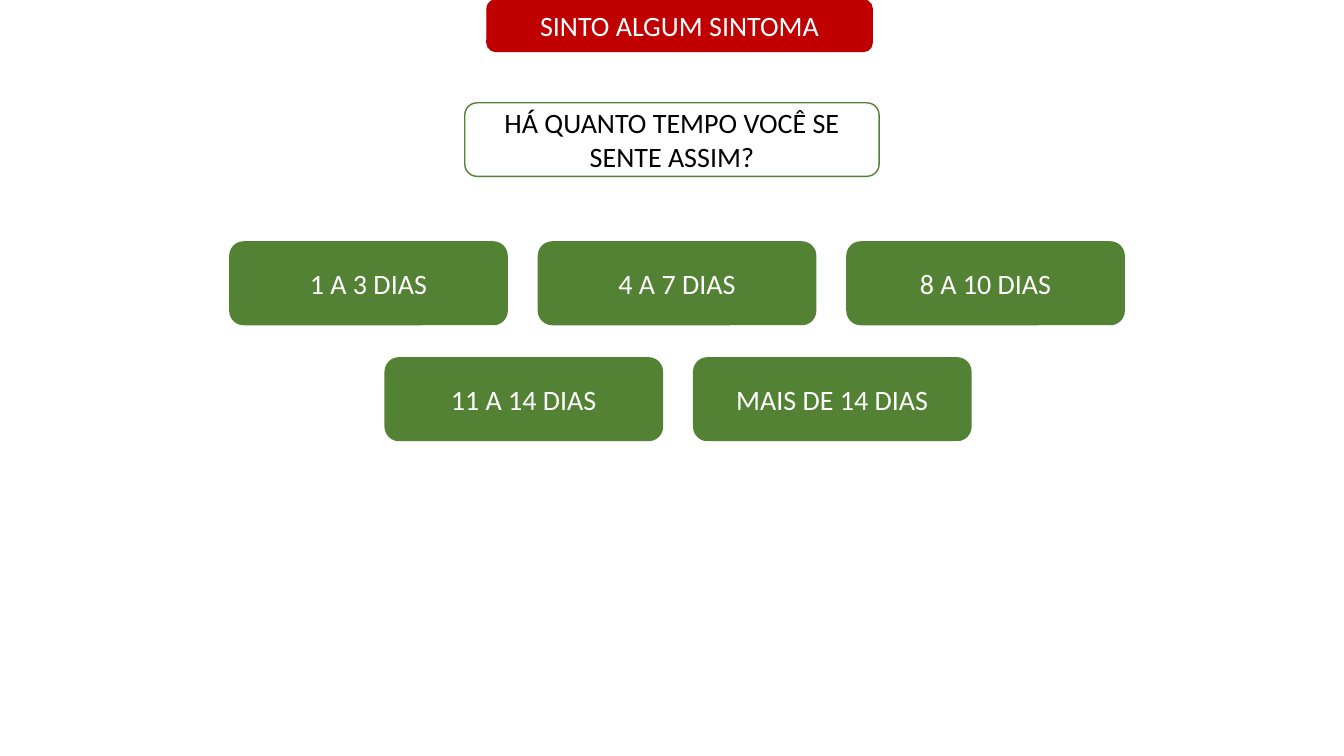
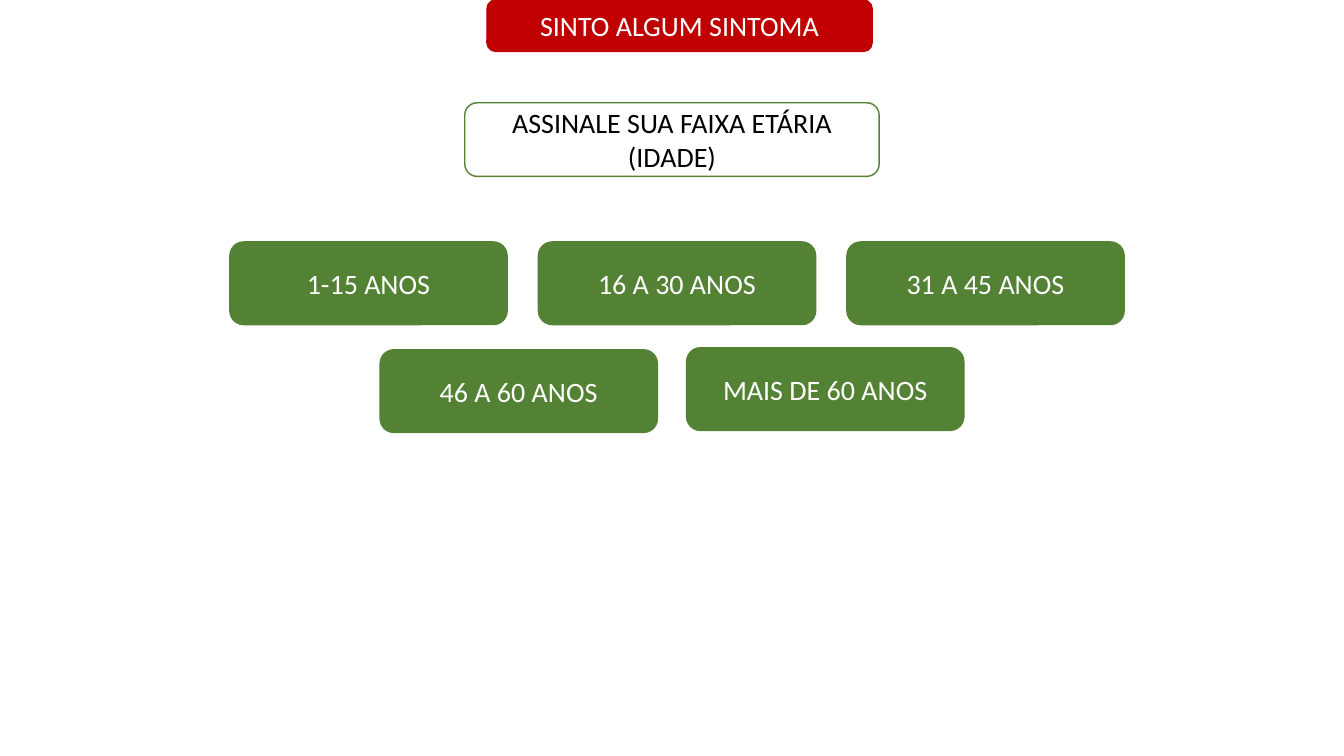
from pptx import Presentation
from pptx import util as u
from pptx.dml.color import RGBColor
from pptx.enum import shapes, text

COLORS = {"red": "C00000", "green": "548235", "white": "FFFFFF", "black": "000000"}
FONT = "Calibri"
HEADER_BOX = (4.83, 0, 3.82, 0.51)
QUESTION_BOX = (4.61, 1.02, 4.11, 0.73)
ANSWER_SIZE = (2.75, 0.82)
ANSWER_STEP = 3.06


def answer_row(left, top, count):
    """Return the top left corners of evenly spaced answers."""
    return [(left + i * ANSWER_STEP, top) for i in range(count)]


FIRST_ROW = answer_row(2.28, 2.4, 3)

QUESTIONS = [
    {
        "question": "HÁ QUANTO TEMPO VOCÊ SE SENTE ASSIM?",
        "answers": ["1 A 3 DIAS", "4 A 7 DIAS", "8 A 10 DIAS",
                    "11 A 14 DIAS", "MAIS DE 14 DIAS"],
        "corners": FIRST_ROW + answer_row(3.82, 3.55, 2),
    },
    {
        "question": "ASSINALE SUA FAIXA ETÁRIA (IDADE)",
        "answers": ["1-15 ANOS", "16 A 30 ANOS", "31 A 45 ANOS",
                    "46 A 60 ANOS", "MAIS DE 60 ANOS"],
        "corners": FIRST_ROW + [(3.77, 3.47), (6.81, 3.45)],
    },
]


def color(name):
    return RGBColor.from_string(COLORS[name])


def add_label(slide, box, wording, fill, line, ink="white",
              preset=shapes.MSO_SHAPE.FLOWCHART_ALTERNATE_PROCESS):
    label = slide.shapes.add_shape(preset, *(u.Inches(side) for side in box))
    label.shadow.inherit = False
    label.fill.solid()
    label.fill.fore_color.rgb = color(fill)
    label.line.color.rgb = color(line)
    label.line.width = u.Pt(1)

    frame = label.text_frame
    frame.text = wording
    frame.word_wrap = True
    frame.vertical_anchor = text.MSO_ANCHOR.MIDDLE
    paragraph = frame.paragraphs[0]
    paragraph.alignment = text.PP_ALIGN.CENTER
    font = paragraph.runs[0].font
    font.name = FONT
    font.size = u.Pt(20)
    font.color.rgb = color(ink)


def add_question(slide, box, wording):
    add_label(slide, box, wording, "white", "green", "black",
              shapes.MSO_SHAPE.ROUNDED_RECTANGLE)


def add_answers(slide, corners, answers):
    for corner, answer in zip(corners, answers):
        add_label(slide, corner + ANSWER_SIZE, answer, "green", "green")


def add_header(slide, box):
    add_label(slide, box, "SINTO ALGUM SINTOMA", "red", "red")


def add_question_slide(deck, question, answers, corners):
    slide = deck.slides.add_slide(deck.slide_layouts[6])
    add_question(slide, QUESTION_BOX, question)
    add_answers(slide, corners, answers)
    add_header(slide, HEADER_BOX)


def main():
    deck = Presentation()
    deck.slide_width = u.Inches(13.33)
    deck.slide_height = u.Inches(7.5)
    for content in QUESTIONS:
        add_question_slide(deck, **content)
    deck.save("out.pptx")


if __name__ == "__main__":
    main()
